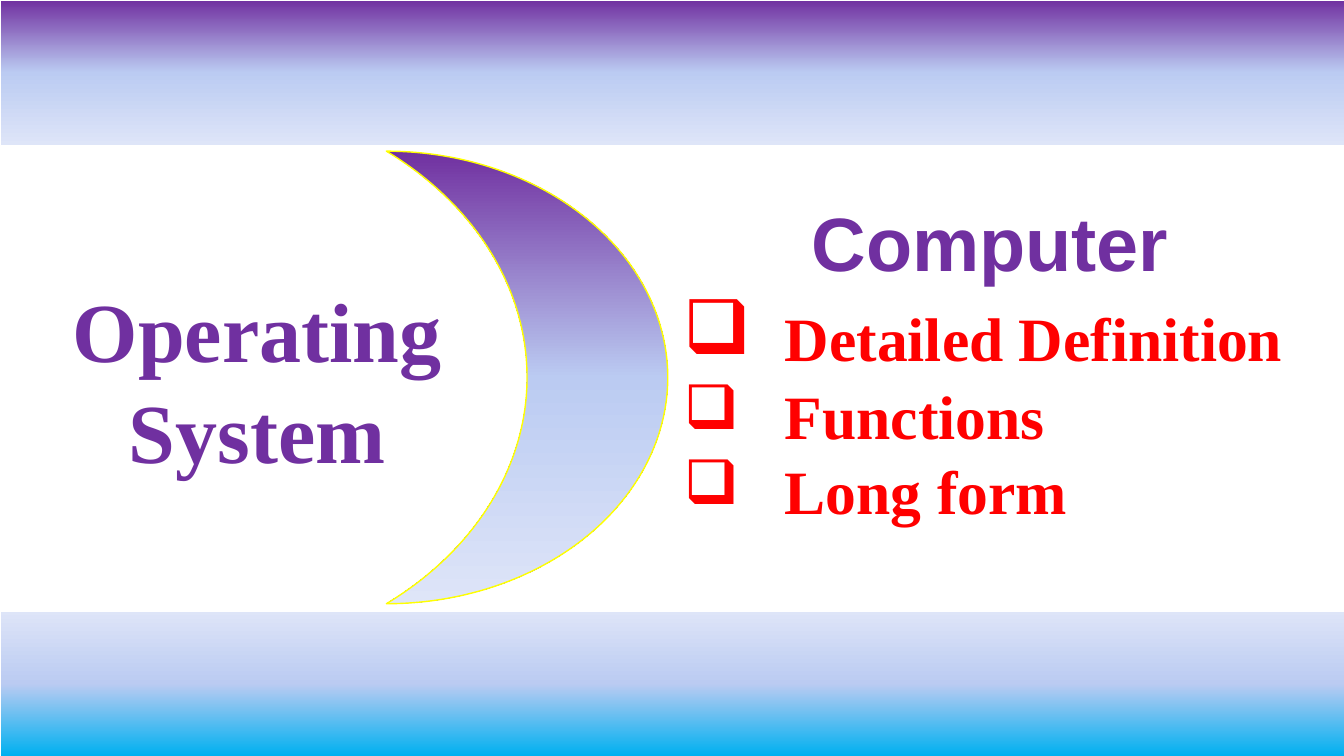
"""Build the operating system title slide."""
import copy
from dataclasses import dataclass

import pptx
import pptx.util
import pptx.dml.color
import pptx.enum.shapes
import pptx.enum.text
import pptx.oxml.ns
from lxml import etree

SCALE = 9525


@dataclass(frozen=True)
class Theme:
    """Colours, fonts and type sizes."""
    purple: str = "7030A0"
    sky: str = "00B0F0"
    mid: str = "BBCBF2"
    pale: str = "DEE5F8"
    white: str = "FFFFFF"
    yellow: str = "FFFF00"
    red: str = "FF0000"
    serif: str = "Times New Roman"
    sans: str = "Arial"
    title: int = 60
    head: int = 54
    item: int = 44


@dataclass(frozen=True)
class Box:
    """A place on the slide in px."""
    left: int
    top: int
    width: int
    height: int

    def emu(self) -> list[int]:
        """Return the four lengths in EMU."""
        return [n * SCALE for n in (self.left, self.top, self.width, self.height)]


@dataclass(frozen=True)
class Panel:
    """A shape with a gradient and an outline."""
    kind: pptx.enum.shapes.MSO_SHAPE
    box: Box
    start: str
    angle: int
    line: str
    weight: float
    flip: bool = False


@dataclass(frozen=True)
class Item:
    """A bullet line with its pitch and bullet size."""
    text: str
    pitch: int
    bullet: int


THEME = Theme()
SHAPE = pptx.enum.shapes.MSO_SHAPE
PANELS = [
    Panel(SHAPE.RECTANGLE, Box(0, 0, 1280, 138), THEME.purple, 270, THEME.white, 0.25),
    Panel(SHAPE.MOON, Box(368, 144, 268, 431), THEME.purple, 270, THEME.yellow, 1, True),
    Panel(SHAPE.RECTANGLE, Box(0, 582, 1280, 138), THEME.sky, 90, THEME.white, 0.25),
]
ITEMS = [
    Item("Detailed Definition", 62, 123),
    Item("Functions", 56, 100),
    Item("Long form", 53, 100),
]


def rgb(code: str) -> pptx.dml.color.RGBColor:
    """Turn a hex code into a colour."""
    return pptx.dml.color.RGBColor.from_string(code)


def draw(slide, panel: Panel) -> None:
    """Draw one gradient panel."""
    shape = slide.shapes.add_shape(panel.kind, *panel.box.emu())
    shape.shadow.inherit = False
    shape.line.color.rgb = rgb(panel.line)
    shape.line.width = pptx.util.Pt(panel.weight)
    shape.fill.gradient()
    shape.fill.gradient_angle = panel.angle
    last = shape.element.spPr.find(".//" + pptx.oxml.ns.qn("a:gsLst"))[-1]
    last.addnext(copy.deepcopy(last))
    tints = (panel.start, THEME.mid, THEME.pale)
    for step, (stop, tint) in enumerate(zip(shape.fill.gradient_stops, tints)):
        stop.position = step / 2
        stop.color.rgb = rgb(tint)
    if panel.flip:
        shape.element.spPr.xfrm.set("flipH", "1")


def write(para, text: str, *, font: str, size: int, tint: str,
          pitch: int | None = None, center: bool = False) -> None:
    """Write bold text into a paragraph."""
    align = pptx.enum.text.PP_ALIGN
    para.alignment = align.CENTER if center else align.LEFT
    if pitch:
        para.line_spacing = pptx.util.Pt(pitch)
    run = para.add_run()
    run.text = text
    run.font.name = font
    run.font.size = pptx.util.Pt(size)
    run.font.bold = True
    run.font.color.rgb = rgb(tint)


def mark(para, size: int) -> None:
    """Give a paragraph a box bullet and a hanging indent."""
    props = para._p.get_or_add_pPr()
    inch = 96 * SCALE
    props.set("marL", str(inch))
    props.set("indent", str(-inch))
    qn = pptx.oxml.ns.qn
    etree.SubElement(props, qn("a:buSzPct")).set("val", str(size * 1000))
    etree.SubElement(props, qn("a:buChar")).set("char", "❑")


def main() -> None:
    """Build and save the slide."""
    deck = pptx.Presentation()
    deck.slide_width, deck.slide_height = 1280 * SCALE, 720 * SCALE
    slide = deck.slides.add_slide(deck.slide_layouts[5])
    for panel in PANELS:
        draw(slide, panel)

    title = slide.shapes.title
    title.left, title.top, title.width, title.height = Box(59, 259, 372, 204).emu()
    title.text_frame.auto_size = pptx.enum.text.MSO_AUTO_SIZE.NONE
    title.text_frame.word_wrap = True
    write(title.text_frame.paragraphs[0], "Operating System", font=THEME.serif,
          size=THEME.title, tint=THEME.purple, center=True)

    frame = slide.shapes.add_textbox(*Box(642, 182, 602, 326).emu()).text_frame
    frame.word_wrap = True
    write(frame.paragraphs[0], "Computer", font=THEME.sans, size=THEME.head,
          tint=THEME.purple, pitch=65, center=True)
    for item in ITEMS:
        para = frame.add_paragraph()
        write(para, item.text, font=THEME.serif, size=THEME.item,
              tint=THEME.red, pitch=item.pitch)
        mark(para, item.bullet)
    deck.save("out.pptx")


if __name__ == "__main__":
    main()
